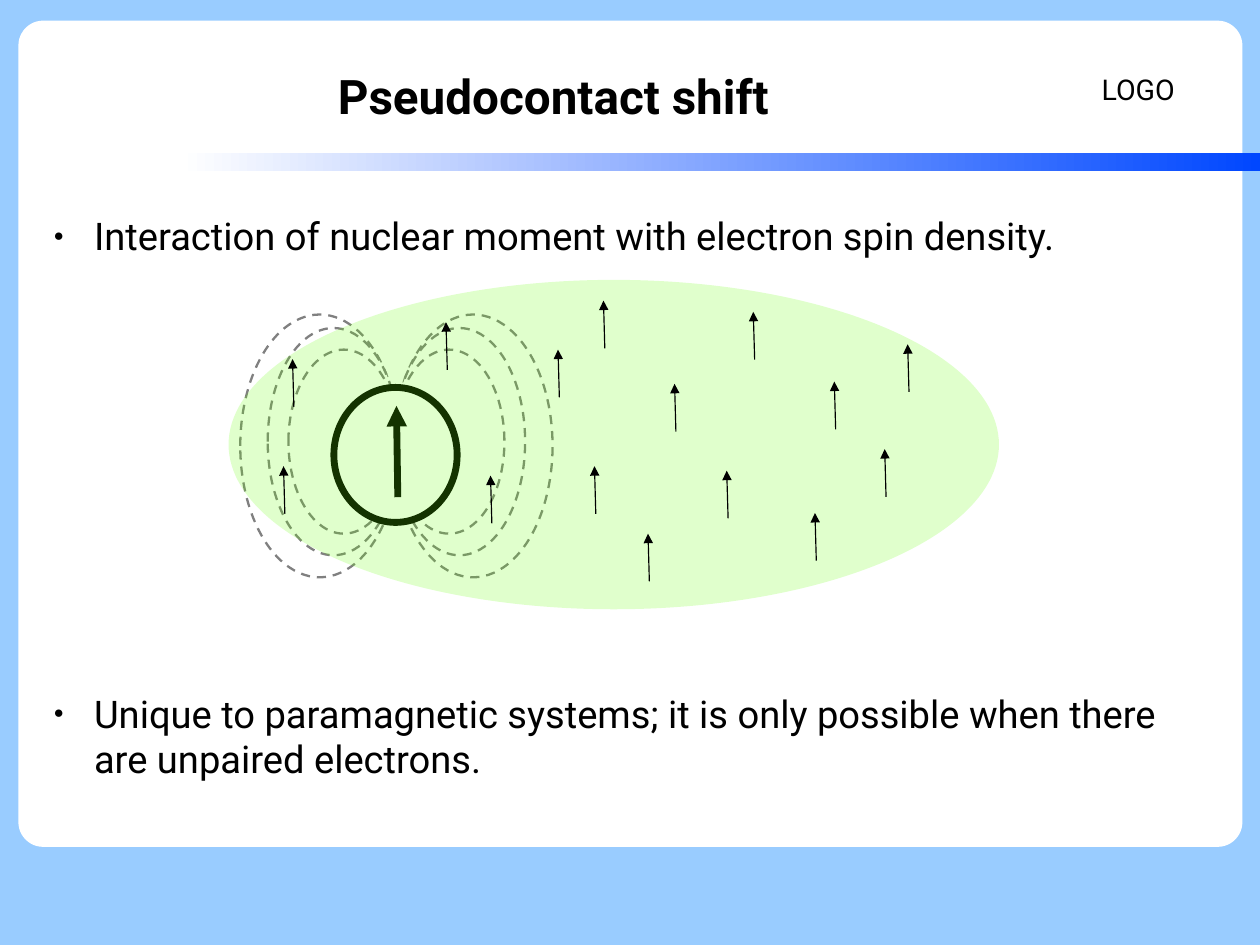
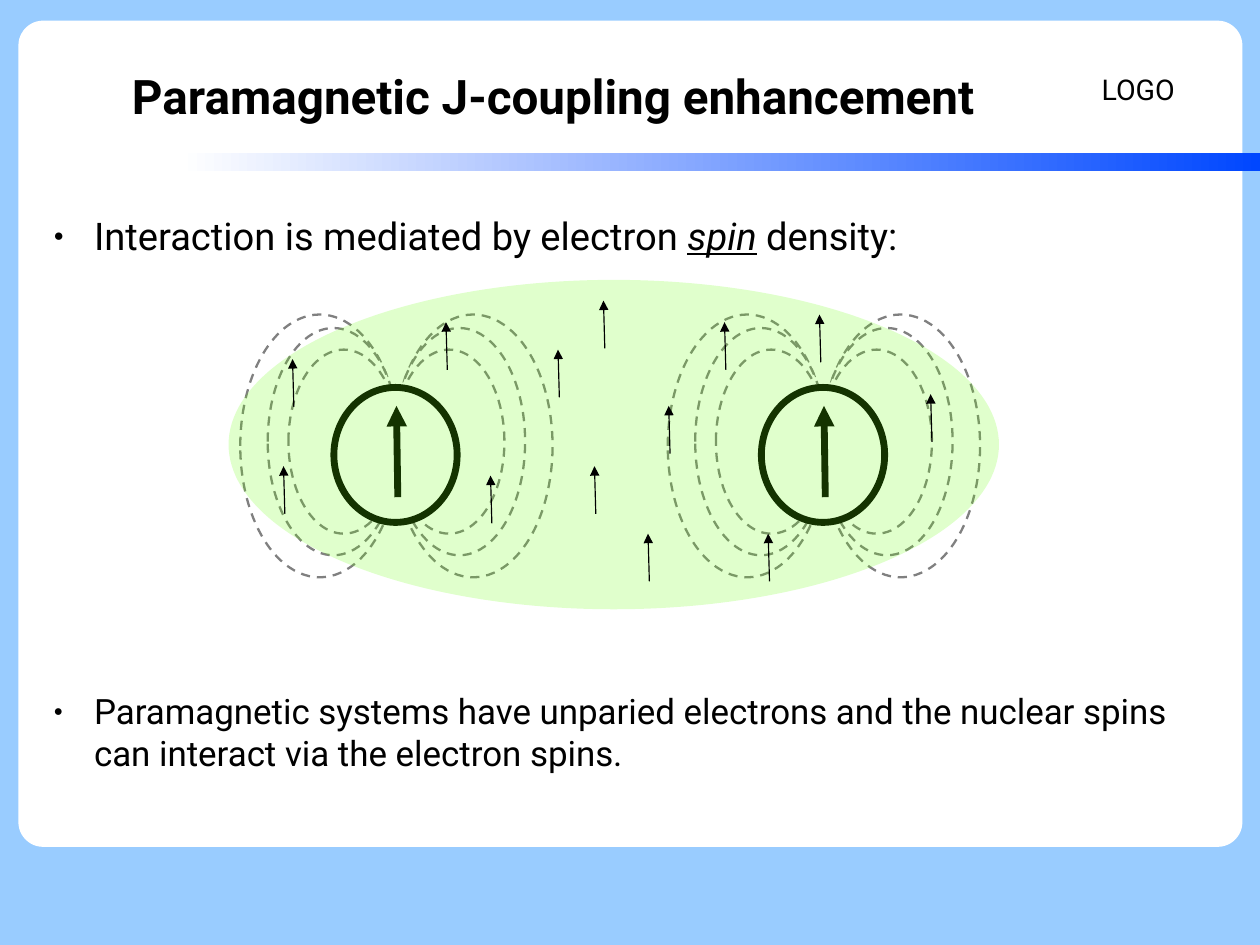
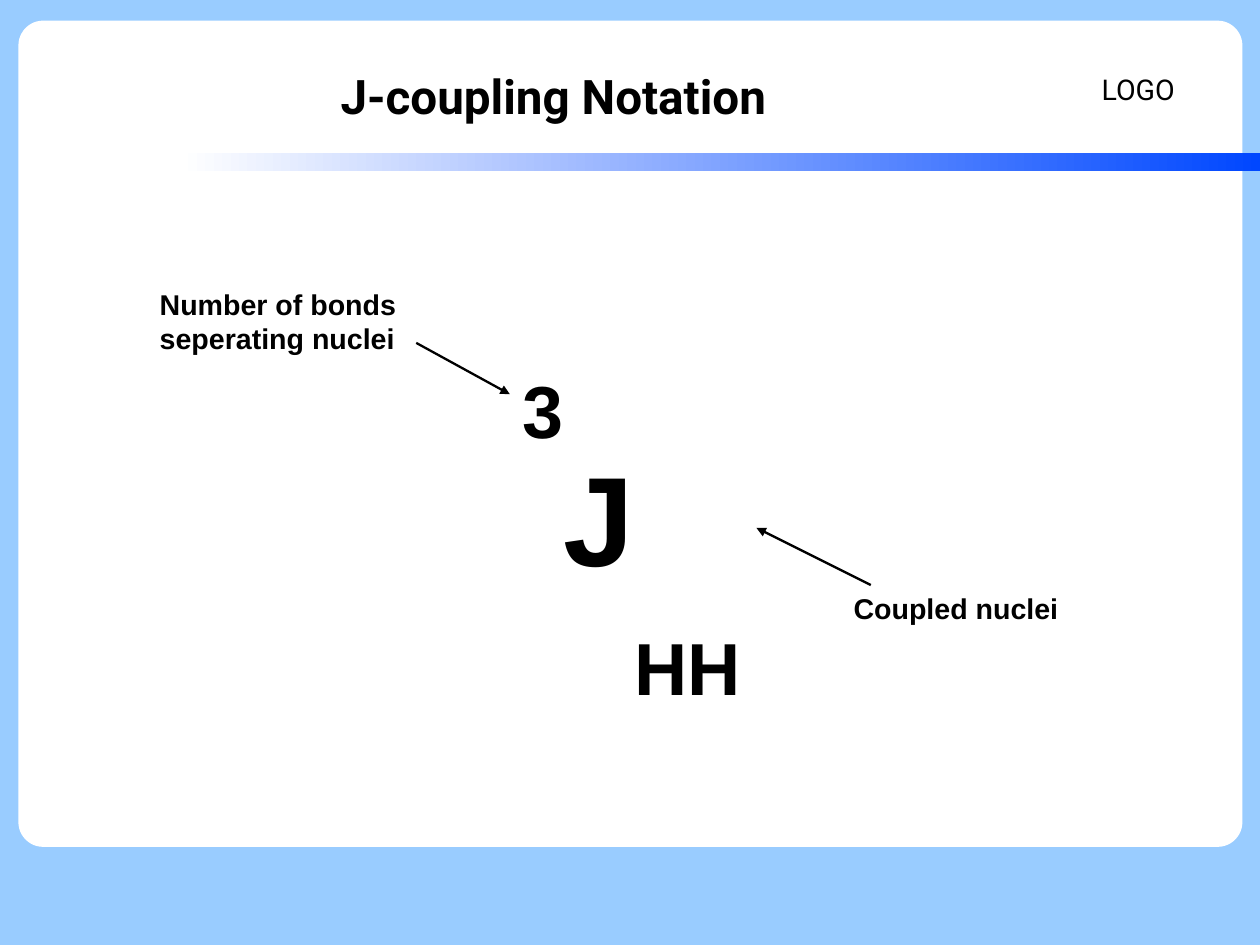
from lxml.etree import SubElement
from pptx import Presentation
from pptx.dml.color import RGBColor
from pptx.enum.dml import MSO_LINE
from pptx.enum.shapes import MSO_CONNECTOR, MSO_SHAPE
from pptx.enum.text import MSO_ANCHOR, MSO_AUTO_SIZE, PP_ALIGN
from pptx.oxml.ns import qn
from pptx.util import Cm, Pt

HUES = {
    "sky": "99CCFF",
    "white": "FFFFFF",
    "blue": "0047FF",
    "black": "000000",
    "gray": "808080",
    "green": "66FF00",
}
SANS, PLAIN = "Roboto", "Arial"

# Field diagram, in cm
AXIS = 8.81                 # centre line of the first nucleus
STEP = 9.5                  # from one nucleus to the next
LAP = 0.06                  # how far loops cross the centre line
LEAN = 0.03                 # slant of every spin arrow
LOOPS = [(6.99, 3.53, 5.84), (7.29, 2.92, 5.05), (7.77, 2.46, 4.09)]  # top, width, height

# Tips of the electron spin arrows
SHARED = [(9.91, 7.16), (12.4, 7.77), (13.21, 10.36), (10.9, 10.57),
          (13.41, 6.68), (6.5, 7.98), (6.3, 10.36), (14.4, 11.86)]
SINGLE = [(16.15, 10.46), (18.11, 11.4), (18.54, 8.48), (19.66, 9.98),
          (14.99, 8.53), (16.74, 6.93), (20.17, 7.65)]
PAIR = [(16.1, 7.16), (14.86, 9.02), (18.21, 6.99), (20.68, 8.76), (17.07, 11.86)]


def hue(name):
    return RGBColor.from_string(HUES[name])


class Deck:
    """Style of the deck and the slide being filled."""

    def __init__(self):
        self.file = Presentation()
        self.file.slide_width, self.file.slide_height = Cm(28), Cm(21)
        self.page = None

    def start(self, title, layout):
        self.page = self.file.slides.add_slide(self.file.slide_layouts[layout])
        if len(self.file.slides) == 1:
            self.frame()
        head = self.page.shapes.title
        self.place(head, 1.4, 0.84, 21.8, 2.56)
        text = self.setup(head, MSO_ANCHOR.MIDDLE, 0, 0)
        text.text = title
        text.paragraphs[0].alignment = PP_ALIGN.CENTER
        self.style(text.paragraphs[0].runs[0], 30, SANS, True)

    def frame(self):
        """Draw the background, panel, band and mark once, on the master."""
        master = self.file.slide_master
        master.background.fill.solid()
        master.background.fill.fore_color.rgb = hue("sky")
        panel = self.shape(MSO_SHAPE.ROUNDED_RECTANGLE, 0.41, 0.46, 27.2, 18.36, "white")
        panel.adjustments[0] = 0.03
        band = self.shape(MSO_SHAPE.RECTANGLE, 4, 3.4, 24, 0.41, "white")
        band.fill.gradient()
        band.fill.gradient_angle = 0
        for stop, name in zip(band.fill.gradient_stops, ("white", "blue")):
            stop.color.rgb = hue(name)
        mark = self.label("LOGO", 24.23, 0.79, 2.31, 2.39, font=SANS, bold=False,
                          anchor=MSO_ANCHOR.MIDDLE)
        for spot, item in enumerate((panel, band, mark)):
            item.element.find(".//" + qn("p:cNvPr")).set("id", str(101 + spot))
            master.shapes.element.insert(2 + spot, item.element)

    # Text
    def place(self, item, left, top, width, height):
        item.left, item.top = Cm(left), Cm(top)
        item.width, item.height = Cm(width), Cm(height)

    def setup(self, item, anchor, side, edge):
        text = item.text_frame
        text.word_wrap = True
        text.auto_size = MSO_AUTO_SIZE.NONE
        text.vertical_anchor = anchor
        text.margin_left = text.margin_right = Cm(side)
        text.margin_top = text.margin_bottom = Cm(edge)
        return text

    def style(self, run, size, font, bold=False):
        run.font.size, run.font.name, run.font.bold = Pt(size), font, bold
        run.font.color.rgb = hue("black")

    def label(self, words, left, top, width, height, size=18, font=PLAIN,
              bold=True, anchor=MSO_ANCHOR.TOP):
        box = self.page.shapes.add_textbox(Cm(left), Cm(top), Cm(width), Cm(height))
        text = self.setup(box, anchor, 0.25, 0.13)
        text.text = words
        for run in text.paragraphs[0].runs:
            self.style(run, size, font, bold)
        return box

    def points(self, *items):
        """Fill the body; each item is a size and parts, every second part stressed."""
        body = self.page.placeholders[1]
        self.place(body, 0.89, 4.72, 26.09, 14)
        text = self.setup(body, MSO_ANCHOR.TOP, 0, 0)
        for spot, (size, parts) in enumerate(items):
            para = text.add_paragraph() if spot else text.paragraphs[0]
            self.bullet(para)
            # The diagram sits in the gap between the points
            para.space_before = Pt(272 if spot else 0)
            para.space_after = Pt(0)
            for turn, part in enumerate(parts):
                run = para.add_run()
                run.text = part
                self.style(run, size, SANS)
                if turn % 2:
                    run.font.italic = run.font.underline = True

    def bullet(self, para):
        props = para._p.get_or_add_pPr()
        props.set("marL", str(Cm(1.2)))
        props.set("indent", str(Cm(-0.9)))
        tint = SubElement(props, qn("a:buClr"))
        SubElement(tint, qn("a:srgbClr")).set("val", HUES["black"])
        SubElement(props, qn("a:buSzPct")).set("val", "45000")
        SubElement(props, qn("a:buChar")).set("char", "●")

    def term(self, upper, base, lower):
        """Write a symbol with a raised and a lowered index."""
        box = self.label("", 10.87, 7.98, 5.84, 8.53)
        para = box.text_frame.paragraphs[0]
        para.alignment = PP_ALIGN.RIGHT
        for part, shift in ((upper, 101), (base, 0), (lower, -101)):
            run = para.add_run()
            run.text = part
            self.style(run, 80, PLAIN, True)
            run._r.get_or_add_rPr().set("baseline", str(shift * 1000))

    # Shapes and arrows
    def shape(self, kind, left, top, width, height, fill, line=None, weight=1.45):
        item = self.page.shapes.add_shape(kind, Cm(left), Cm(top), Cm(width), Cm(height))
        item.shadow.inherit = False
        item.fill.solid()
        item.fill.fore_color.rgb = hue(fill)
        if line:
            item.line.color.rgb = hue(line)
            item.line.width = Pt(weight)
        else:
            item.line.fill.background()
        return item

    def arrow(self, left, top, right, end, weight):
        item = self.page.shapes.add_connector(
            MSO_CONNECTOR.STRAIGHT, Cm(left), Cm(top), Cm(right), Cm(end))
        item.line.color.rgb = hue("black")
        item.line.width = Pt(weight)
        SubElement(item.line._get_or_add_ln(), qn("a:tailEnd")).set("type", "triangle")
        SubElement(item.element.spPr, qn("a:effectLst"))

    def spin(self, tip, top, length, weight):
        self.arrow(tip + LEAN, top + length, tip, top, weight)

    def atom(self, axis):
        """Draw a nucleus with its moment and field loops."""
        for side in (-1, 1):
            for top, width, height in LOOPS:
                left = axis - LAP if side > 0 else axis + LAP - width
                loop = self.shape(MSO_SHAPE.OVAL, left, top, width, height, "white", "gray")
                loop.line.dash_style = MSO_LINE.DASH
        self.shape(MSO_SHAPE.OVAL, axis - 1.39, 8.61, 2.74, 3, "white", "black", 4.31)
        self.spin(axis, 9.02, 2.03, 4.31)

    def field(self, count, tips):
        """Draw the nuclei under a cloud of electron spins."""
        for spot in range(count):
            self.atom(AXIS + spot * STEP)
        cloud = self.shape(MSO_SHAPE.OVAL, 5.08, 6.22, 17.12, 7.32, "green")
        tint = cloud.element.find(".//" + qn("a:srgbClr"))
        SubElement(tint, qn("a:alpha")).set("val", "20000")
        for tip, top in tips:
            self.spin(tip, top, 1.06, 0.75)


def main():
    deck = Deck()

    # Pseudocontact shift
    deck.start("Pseudocontact shift", 1)
    deck.points(
        (24, ["Interaction of nuclear moment with electron spin density."]),
        (24, ["Unique to paramagnetic systems; it is only possible when there "
              "are unpaired electrons."]))
    deck.field(1, SHARED + SINGLE)

    # J-coupling enhancement
    deck.start("Paramagnetic J-coupling enhancement", 1)
    deck.points(
        (24, ["Interaction is mediated by electron ", "spin", " density:"]),
        (22, ["Paramagnetic systems have unparied electrons and the nuclear spins "
              "can interact via the electron spins."]))
    deck.field(2, SHARED + PAIR)

    # Notation
    deck.start("J-coupling Notation", 5)
    deck.term("3", "J", "HH")
    deck.label("Number of bonds seperating nuclei", 3.3, 6.25, 6.32, 1.68)
    deck.arrow(9.25, 7.62, 11.33, 8.76, 1.45)
    deck.label("Coupled nuclei", 18.72, 13, 6.32, 1.65)
    deck.arrow(19.35, 13, 16.81, 11.73, 1.45)

    deck.file.save("out.pptx")


if __name__ == "__main__":
    main()
